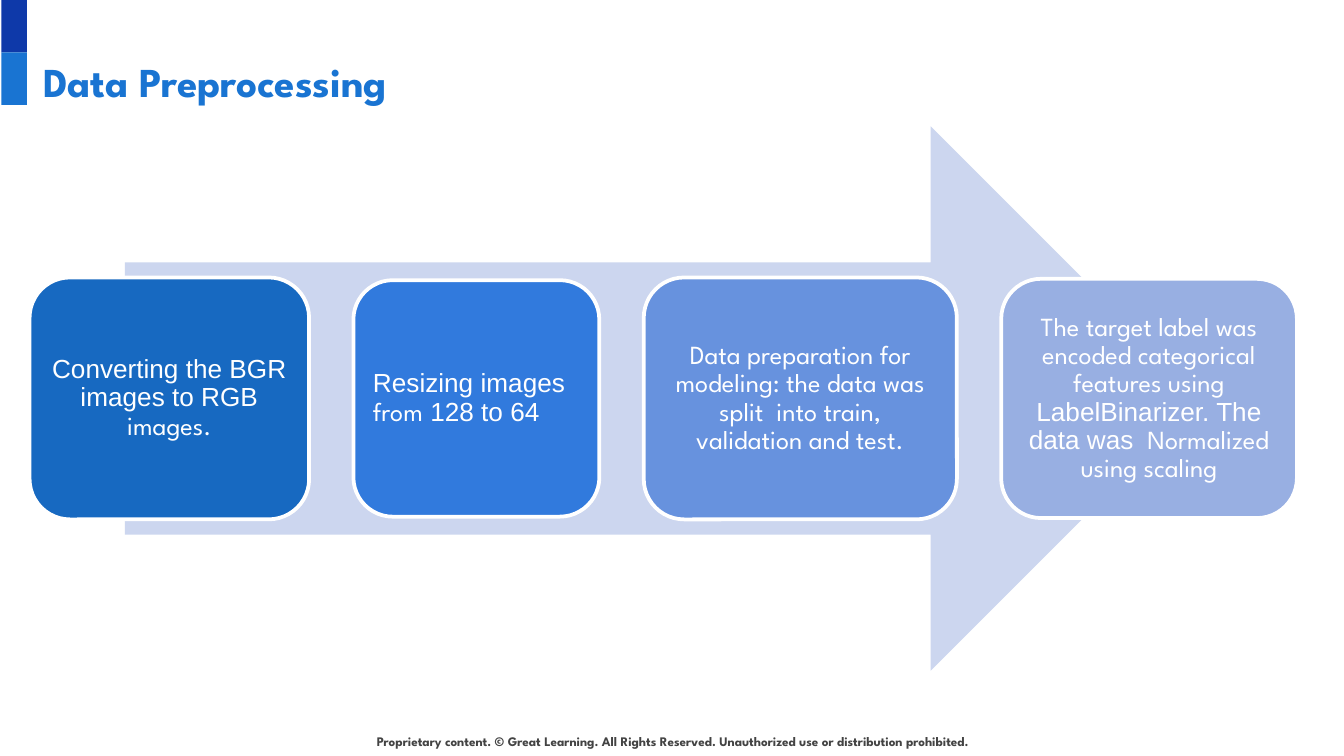
from dataclasses import dataclass

from pptx import Presentation
from pptx.dml.color import RGBColor
from pptx.enum.shapes import MSO_SHAPE
from pptx.enum.text import MSO_ANCHOR, PP_ALIGN
from pptx.util import Inches, Pt

RECTANGLE = MSO_SHAPE.RECTANGLE
ROUNDED = MSO_SHAPE.ROUNDED_RECTANGLE
ARROW = MSO_SHAPE.RIGHT_ARROW
TOP, MIDDLE = MSO_ANCHOR.TOP, MSO_ANCHOR.MIDDLE
LEFT, CENTER = PP_ALIGN.LEFT, PP_ALIGN.CENTER


@dataclass(frozen=True)
class Theme:
    brand: str = "League Spartan"
    plain: str = "Arial"
    navy: str = "0E39A9"
    blue: str = "1974D2"
    pale: str = "CCD6EF"
    white: str = "FFFFFF"
    grey: str = "434343"
    title_size: int = 22
    step_size: int = 14
    footer_size: int = 7


theme = Theme()


def add_block(page, kind, left, top, width, height, color):
    block = page.shapes.add_shape(
        kind, Inches(left), Inches(top), Inches(width), Inches(height))
    block.shadow.inherit = False
    block.fill.solid()
    block.fill.fore_color.rgb = RGBColor.from_string(color)
    block.line.fill.background()
    return block


def write(box, spans, size, color, bold, align, anchor, inset, spacing=1.0):
    frame = box.text_frame
    frame.word_wrap = True
    frame.vertical_anchor = anchor
    frame.margin_left = frame.margin_right = Inches(inset)
    frame.margin_top = frame.margin_bottom = Inches(inset)
    para = frame.paragraphs[0]
    para.alignment = align
    para.line_spacing = spacing
    para.font.size = Pt(size)
    para.font.bold = bold
    para.font.color.rgb = RGBColor.from_string(color)
    para.font.name = spans[0][1]
    for text, font in spans:
        span = para.add_run()
        span.text = text
        if len(spans) > 1:
            span.font.name = font


deck = Presentation()
deck.slide_width = Inches(10)
deck.slide_height = deck.slide_width * 9 // 16
page = deck.slides.add_slide(deck.slide_layouts[5])

footer = page.shapes.add_textbox(
    Inches(2.45), Inches(5.38), Inches(5.11), Inches(0.3))
write(footer, [("Proprietary content. © Great Learning. All Rights Reserved. "
                "Unauthorized use or distribution prohibited.", theme.brand)],
      theme.footer_size, theme.grey, True, CENTER, TOP, 0.1, 1.02)
footer.text_frame.margin_top = Inches(0.13)

band_height = 0.39
for row, color in enumerate((theme.navy, theme.blue)):
    add_block(page, RECTANGLE, 0.01, row * band_height, 0.19, band_height, color)

title = page.shapes.title
title.left, title.top = Inches(0.22), Inches(0.32)
title.width, title.height = Inches(9.32), Inches(0.63)
write(title, [("Data Preprocessing", theme.brand)],
      theme.title_size, theme.blue, True, LEFT, TOP, 0.1)

arrow_top, arrow_height = 0.94, 4.05
add_block(page, ARROW, 0.93, arrow_top, 8.02, arrow_height, theme.pale)

steps = [
    (2.08, 1.8, "1769C1", CENTER,
     [("Converting the BGR images to RGB ", theme.plain),
      ("images.", theme.brand)]),
    (1.83, 1.76, "317ADD", LEFT,
     [("Resizing images ", theme.plain), ("from", theme.brand),
      (" 128 to 64", theme.plain)]),
    (2.33, 1.8, "6792DE", CENTER,
     [("Data preparation for modeling: the data was split  into train, "
       "validation and test.", theme.brand)]),
    (2.2, 1.78, "98AFE2", CENTER,
     [("The target label was encoded categorical features using ", theme.brand),
      ("LabelBinarizer. The data was ", theme.plain),
      (" Normalized using scaling", theme.brand)]),
]
middle = arrow_top + arrow_height / 2
left, gap = 0.22, 0.33
for width, height, color, align, spans in steps:
    step = add_block(page, ROUNDED, left, middle - height / 2, width, height, color)
    step.line.color.rgb = RGBColor.from_string(theme.white)
    step.line.width = Pt(2)
    write(step, spans, theme.step_size, theme.white, False, align, MIDDLE, 0.06, 0.9)
    left += width + gap

deck.save("out.pptx")
